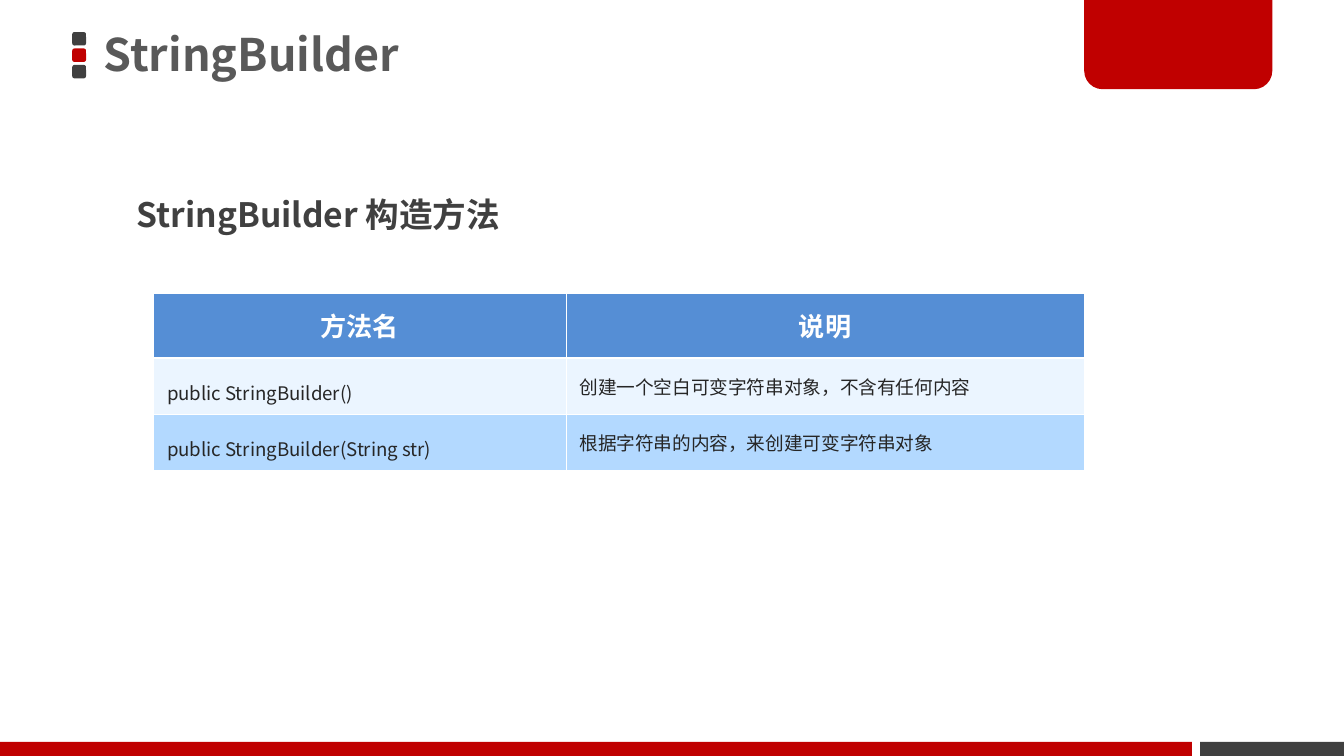
from lxml.etree import SubElement
from pptx import Presentation
from pptx.dml.color import RGBColor
from pptx.enum.shapes import MSO_SHAPE
from pptx.enum.text import MSO_ANCHOR, PP_ALIGN
from pptx.oxml import parse_xml
from pptx.oxml.ns import nsdecls, qn
from pptx.util import Pt

FONT = "Noto Sans CJK SC"
RED = RGBColor(0xC0, 0x00, 0x00)
DARK = RGBColor(0x40, 0x40, 0x40)
TITLE_GRAY = RGBColor(0x59, 0x59, 0x59)
BODY_GRAY = RGBColor(0x26, 0x26, 0x26)
WHITE = RGBColor(0xFF, 0xFF, 0xFF)
HEADER_BLUE = RGBColor(0x55, 0x8E, 0xD5)
PALE_BLUE = RGBColor(0xEB, 0xF5, 0xFF)
LIGHT_BLUE = RGBColor(0xB3, 0xD9, 0xFF)


def add_block(kind, left, top, width, height, color):
    block = slide.shapes.add_shape(kind, Pt(left), Pt(top), Pt(width), Pt(height))
    block.shadow.inherit = False
    block.fill.solid()
    block.fill.fore_color.rgb = color
    block.line.fill.background()
    return block


def write_text(frame, text, size, color, bold, spacing):
    para = frame.paragraphs[0]
    para.text = text
    para.line_spacing = spacing
    for span in para.runs:
        span.font.size = Pt(size)
        span.font.bold = bold
        span.font.color.rgb = color
        span.font.name = FONT
        SubElement(span.font._element, qn("a:ea"), typeface=FONT)
    return para


deck = Presentation()
deck.slide_width = Pt(720)
deck.slide_height = Pt(405)
slide = deck.slides.add_slide(deck.slide_layouts[6])

for index, color in enumerate((DARK, RED, DARK)):
    add_block(MSO_SHAPE.ROUNDED_RECTANGLE, 38.7, 17.2 + index * 8.8, 7.4, 7.2, color)

add_block(MSO_SHAPE.RECTANGLE, 643, 397.5, 77, 7.5, DARK)
corner_tab = add_block(MSO_SHAPE.ROUND_2_SAME_RECTANGLE, 580.8, -1.4, 100.8, 49.2, RED)
corner_tab.rotation = 180
corner_tab.adjustments[0] = 0.2
add_block(MSO_SHAPE.RECTANGLE, 0, 397.5, 638.6, 7.5, RED)

title_box = slide.shapes.add_textbox(Pt(49.7), Pt(-1.4), Pt(424), Pt(64))
title = title_box.text_frame
title.word_wrap = True
title.vertical_anchor = MSO_ANCHOR.MIDDLE
title.margin_left = title.margin_right = Pt(5.8)
title.margin_top = title.margin_bottom = Pt(2.9)
write_text(title, "StringBuilder", 24, TITLE_GRAY, True, 0.9)

subtitle_box = slide.shapes.add_textbox(Pt(66.2), Pt(89.3), Pt(276.5), Pt(39.6))
subtitle_box.text_frame.word_wrap = True
write_text(subtitle_box.text_frame, "StringBuilder 构造方法", 18, DARK, True, 1.5)

rows = [
    ("方法名", "说明"),
    ("public StringBuilder()", "创建一个空白可变字符串对象，不含有任何内容"),
    ("public StringBuilder(String str)", "根据字符串的内容，来创建可变字符串对象"),
]
table_frame = slide.shapes.add_table(3, 2, Pt(82.3), Pt(157), Pt(498.5), Pt(94.8))
table = table_frame.table
for column, width in zip(table.columns, (221, 277.5)):
    column.width = Pt(width)
for row, height in zip(table.rows, (34.8, 30, 30)):
    row.height = Pt(height)

for row_index, texts in enumerate(rows):
    for column_index, text in enumerate(texts):
        cell = table.cell(row_index, column_index)
        cell.fill.solid()
        cell.fill.fore_color.rgb = (HEADER_BLUE, PALE_BLUE, LIGHT_BLUE)[row_index]
        if row_index == 0:
            para = write_text(cell.text_frame, text, 14, WHITE, True, Pt(24))
            para.alignment = PP_ALIGN.CENTER
        else:
            cell.vertical_anchor = MSO_ANCHOR.MIDDLE
            spacing = 1.5 if column_index == 0 else 1.0
            write_text(cell.text_frame, text, 10, BODY_GRAY, False, spacing)
        properties = cell._tc.get_or_add_tcPr()
        for position, side in enumerate("LRTB"):
            thick = (row_index, side) in ((0, "B"), (1, "T"))
            border = parse_xml(
                f'<a:ln{side} {nsdecls("a")} w="{Pt(1.47 if thick else 0.45)}">'
                f'<a:solidFill><a:srgbClr val="{WHITE}"/></a:solidFill></a:ln{side}>'
            )
            properties.insert(position, border)

deck.save("out.pptx")
